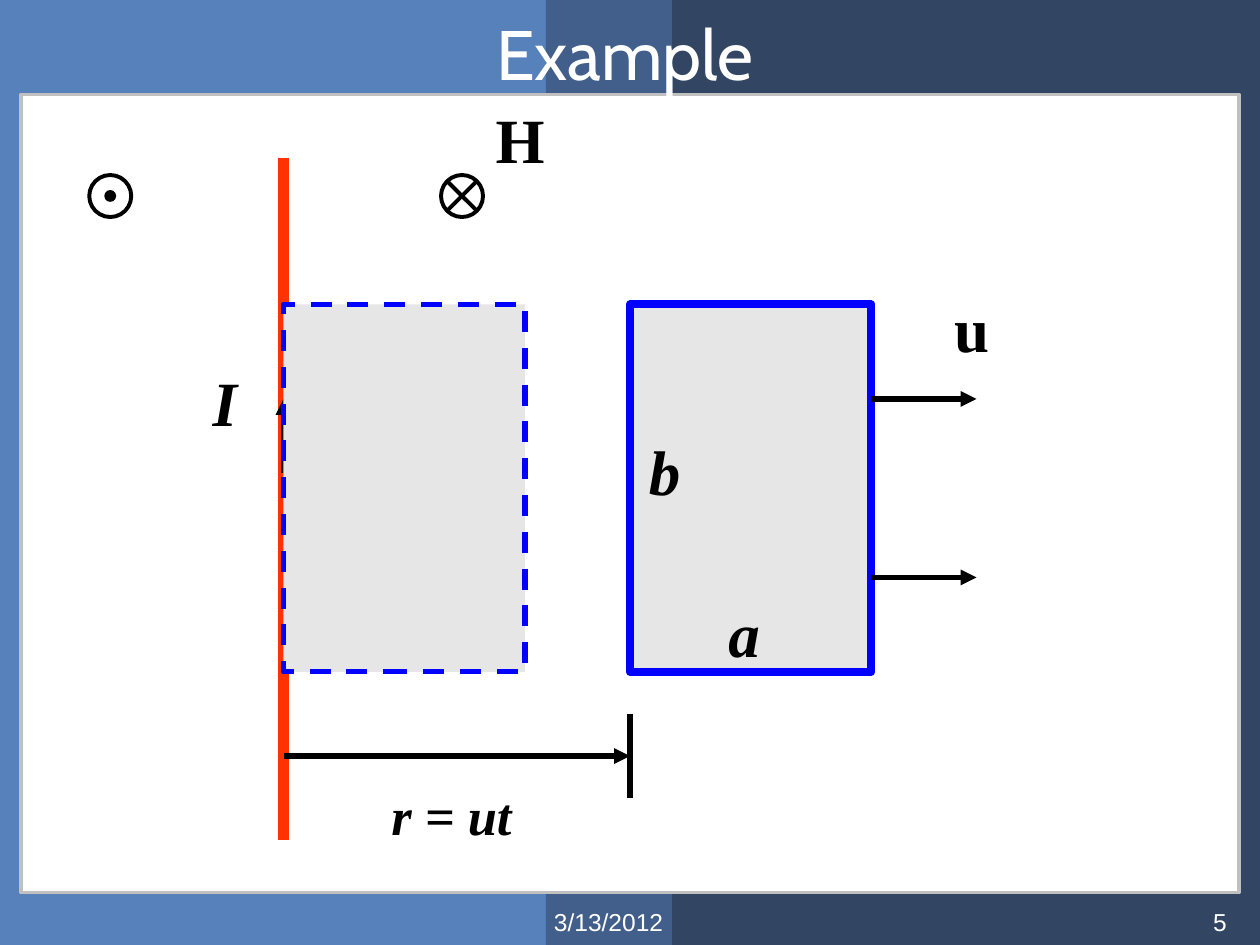
from lxml import etree
from pptx import Presentation
from pptx.dml.color import RGBColor
from pptx.enum.dml import MSO_LINE
from pptx.enum.shapes import MSO_CONNECTOR, MSO_SHAPE
from pptx.enum.text import MSO_ANCHOR, MSO_AUTO_SIZE, PP_ALIGN
from pptx.oxml.ns import qn
from pptx.util import Pt

RECT, OVAL = MSO_SHAPE.RECTANGLE, MSO_SHAPE.OVAL
LEFT, MID, RIGHT = PP_ALIGN.LEFT, PP_ALIGN.CENTER, PP_ALIGN.RIGHT
BLACK, WHITE, BLUE, GREY = "000000", "FFFFFF", "0000FF", "E6E6E6"
hue = RGBColor.from_string


def draw_box(host, kind, at, fill=None, line=None, width=0):
    box = host.add_shape(kind, *map(Pt, at))
    box.shadow.inherit = False
    if fill:
        box.fill.solid()
        box.fill.fore_color.rgb = hue(fill)
    else:
        box.fill.background()
    if line:
        box.line.color.rgb = hue(line)
        box.line.width = Pt(width)
    else:
        box.line.fill.background()
    return box


def draw_line(host, ends, width=3, tint=BLACK, arrow=False):
    """Draw a straight line over ends (x1, y1, x2, y2)."""
    line = host.add_connector(MSO_CONNECTOR.STRAIGHT, *map(Pt, ends))
    line.line.color.rgb = hue(tint)
    line.line.width = Pt(width)
    props = line.element.spPr
    if arrow:
        etree.SubElement(props.find(qn("a:ln")), qn("a:tailEnd"), type="triangle")
    etree.SubElement(props, qn("a:effectLst"))


deck = Presentation()
deck.slide_width, deck.slide_height = Pt(720), Pt(540)
slide = deck.slides.add_slide(deck.slide_layouts[6])
shapes = slide.shapes

# Background bands and white panel
for left, width, fill in [(0, 462, "5781BB"), (312, 72, "415F8A"), (384, 336, "324664")]:
    draw_box(shapes, RECT, (left, 0, width, 540), fill)
draw_box(shapes, RECT, (12, 54, 696, 456), WHITE, "C0C0C0", 2.25)

# Wire with its current
wire, loop, edge = 162, 360, 498
draw_line(shapes, (wire, 90, wire, 480), 6, "FF3300")
draw_line(shapes, (wire, 270, wire, 228), arrow=True)

# Field into the page (cross) and out of the page (dot)
top, size = 100, 24
cross = shapes.add_group_shape().shapes
draw_box(cross, OVAL, (252, top, size, size), None, BLACK, 2.25)
near, far = 3.5, 20.5
for start, end in [(near, far), (far, near)]:
    draw_line(cross, (252 + start, top + near, 252 + end, top + far), 2.25)
dot = shapes.add_group_shape().shapes
draw_box(dot, OVAL, (51, top, size, size), None, BLACK, 2.25)
draw_box(dot, OVAL, (60, top + 9, 6, 6), BLACK, BLACK, 0.75)

# Loop at the start and at time t
ghost = draw_box(shapes, RECT, (wire, 174, edge - loop, 210), GREY, BLUE, 3)
ghost.line.dash_style = MSO_LINE.DASH
draw_box(shapes, RECT, (loop, 174, edge - loop, 210), GREY, BLUE, 4.5)

# Distance and speed
draw_line(shapes, (wire, 432, loop, 432), arrow=True)
draw_line(shapes, (loop, 408, loop, 456))
for y in (228, 330):
    draw_line(shapes, (edge, y, 558, y), arrow=True)

# Text: words, place, alignment, wrap, font
head = {"name": "Cabin", "size": Pt(40)}
foot = {"name": "Arial", "size": Pt(14)}
bold = {"name": "Times New Roman", "size": Pt(36), "bold": True}
sign = {**bold, "italic": True}
texts = [
    ("Example", (24, 6, 666, 48), MID, True, head, WHITE),
    ("3/13/2012", (309.5, 515, 78, 25), LEFT, True, foot, WHITE),
    ("5", (540, 515, 168, 25), RIGHT, True, foot, WHITE),
    ("I", (114, 204, 29, 51), MID, False, sign, BLACK),
    ("H", (276, 54, 42.5, 51), MID, False, bold, BLACK),
    ("u", (538, 162, 34.5, 51), MID, False, bold, BLACK),
    ("a", (409, 336, 32.5, 51), MID, False, sign, BLACK),
    ("b", (363.5, 243.5, 32.5, 51), MID, False, sign, BLACK),
    ("r = ut", (216, 444, 84, 44), MID, False, {**sign, "size": Pt(30)}, BLACK),
]
for words, at, align, wrap, look, tint in texts:
    frame = shapes.add_textbox(*map(Pt, at)).text_frame
    frame.word_wrap = wrap
    if look is head:
        frame.vertical_anchor = MSO_ANCHOR.MIDDLE
    if not wrap:
        frame.auto_size = MSO_AUTO_SIZE.SHAPE_TO_FIT_TEXT
    para = frame.paragraphs[0]
    para.alignment = align
    run = para.add_run()
    run.text = words
    for key, value in look.items():
        setattr(run.font, key, value)
    run.font.color.rgb = hue(tint)

deck.save("out.pptx")
